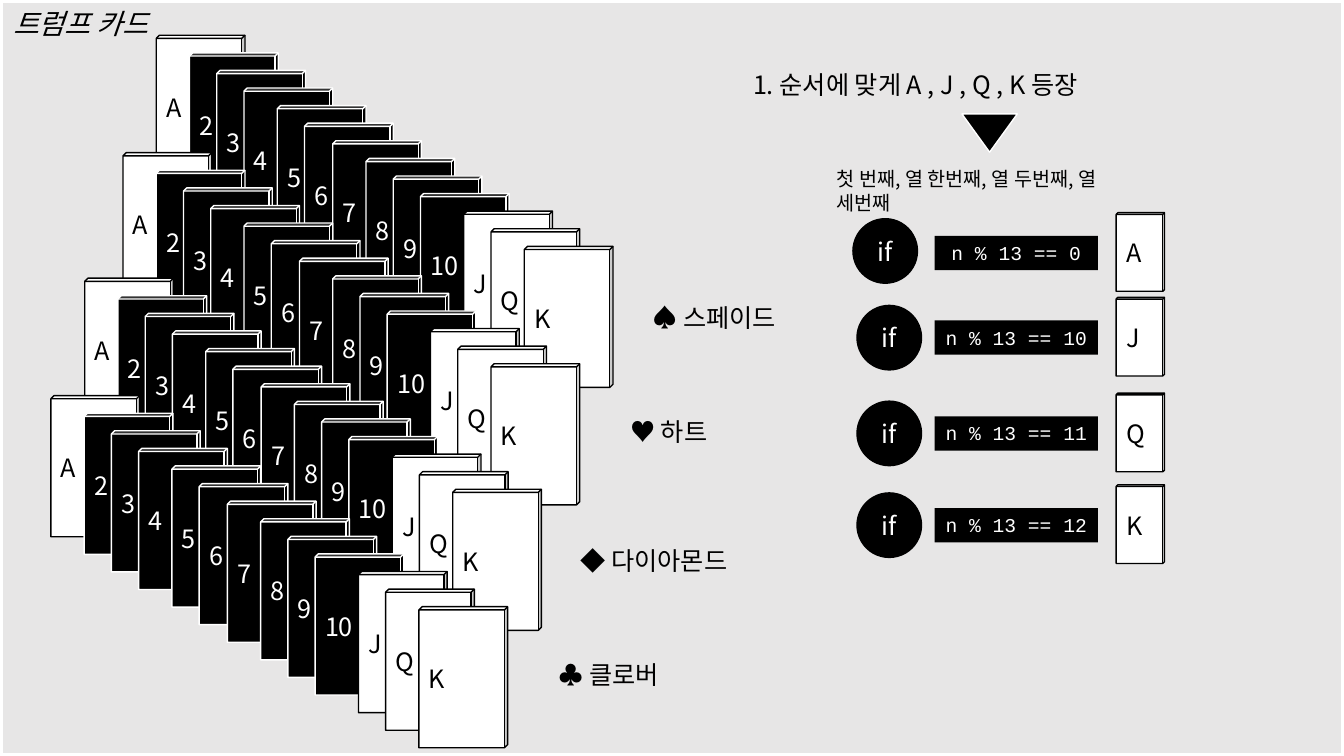
"""Builds a slide of four fanned card suits and the rules that find A, J, Q and K."""
import typing

import lxml.etree
import pptx
import pptx.dml.color
import pptx.enum.shapes
import pptx.enum.text
import pptx.oxml.ns
import pptx.util

Inches = pptx.util.Inches
Pt = pptx.util.Pt
Kind = pptx.enum.shapes.MSO_SHAPE
Align = pptx.enum.text.PP_ALIGN
Anchor = pptx.enum.text.MSO_ANCHOR
RGBColor = pptx.dml.color.RGBColor

BLACK = RGBColor(0, 0, 0)
WHITE = RGBColor(255, 255, 255)
GRAY = RGBColor(0xE7, 0xE6, 0xE6)
SANS = "Noto Sans CJK KR"
MONO = "Courier New"


class Box(typing.NamedTuple):
    left: float
    top: float
    width: float
    height: float


class Suit(typing.NamedTuple):
    left: float
    top: float
    name: str
    label: Box


class Rule(typing.NamedTuple):
    rank: str
    value: int
    mid: float
    ring_left: float = 8.5
    ring_mid: float = 0


RANKS = ("A", "2", "3", "4", "5", "6", "7", "8", "9", "10", "J", "Q", "K")
FACES = {"A", "J", "Q", "K"}
SHIFTS = (0, 0.33, 0.6, 0.87, 1.2, 1.47, 1.75, 2.08, 2.35, 2.62, 3.05, 3.32, 3.65)
DROP = 0.1745
CARD = (0.88, 1.4)
SMALL = (0.48, 0.78)
RING = 0.64
BAR = (1.62, 0.34)

SUITS = (
    Suit(1.55, 0.35, "♠ 스페이드", Box(6.37, 2.95, 1.71, 0.4)),
    Suit(1.22, 1.515, "♥ 하트", Box(6.15, 4.08, 1.71, 0.4)),
    Suit(0.84, 2.76, "◆ 다이아몬드", Box(5.66, 5.36, 1.87, 0.4)),
    Suit(0.505, 3.925, "♣ 클로버", Box(5.44, 6.49, 1.71, 0.4)),
)
RULES = (
    Rule("A", 0, 2.51, 8.46, 2.49),
    Rule("J", 10, 3.35),
    Rule("Q", 11, 4.3),
    Rule("K", 12, 5.21),
)

deck = pptx.Presentation()
deck.slide_width, deck.slide_height = Inches(13.33), Inches(7.5)
slide = deck.slides.add_slide(deck.slide_layouts[5])


def write(shape, text: str, size: float = 18, color=BLACK, font: str = SANS,
          align=Align.LEFT, anchor=Anchor.TOP, italic: bool = False) -> None:
    """Put one formatted line of text in a shape."""
    frame = shape.text_frame
    frame.word_wrap = True
    frame.vertical_anchor = anchor
    line = frame.paragraphs[0]
    line.alignment = align
    run = line.add_run()
    run.text = text
    run.font.size = Pt(size)
    run.font.name = font
    run.font.italic = italic
    run.font.color.rgb = color
    east = lxml.etree.SubElement(run.font._element, pptx.oxml.ns.qn("a:ea"))
    east.set("typeface", font)


def place(box: Box) -> list:
    """Turn a box in inches into lengths."""
    return [Inches(side) for side in box]


def draw(kind, box: Box, fill, edge=None, weight: float = 1, adjust: tuple = ()):
    """Draw a flat preset shape."""
    shape = slide.shapes.add_shape(kind, *place(box))
    shape.shadow.inherit = False
    shape.fill.solid()
    shape.fill.fore_color.rgb = fill
    if edge is None:
        shape.line.fill.background()
    else:
        shape.line.color.rgb = edge
        shape.line.width = Pt(weight)
    for index, value in enumerate(adjust):
        shape.adjustments[index] = value
    return shape


def label(text: str, box: Box, size: float = 18) -> None:
    """Add a plain line of text."""
    write(slide.shapes.add_textbox(*place(box)), text, size=size)


def card(rank: str, box: Box) -> None:
    """Draw a card, white for a face and black for a number."""
    fill, ink = (WHITE, BLACK) if rank in FACES else (BLACK, WHITE)
    shape = draw(Kind.CUBE, box, fill, ink, adjust=(0.036,))
    write(shape, rank, color=ink, anchor=Anchor.MIDDLE)


def fan(suit: Suit) -> None:
    """Draw the thirteen cards of a suit and its name."""
    for step, (rank, shift) in enumerate(zip(RANKS, SHIFTS)):
        card(rank, Box(suit.left + shift, suit.top + step * DROP, *CARD))
    label(suit.name, suit.label)


def test(rule: Rule) -> None:
    """Draw one rule: the if, its test and the card found."""
    bar = draw(Kind.RECTANGLE, Box(9.27, rule.mid - BAR[1] / 2, *BAR), BLACK)
    write(bar, f"n % 13 == {rule.value}", size=14, color=WHITE, font=MONO,
          align=Align.CENTER)
    top = (rule.ring_mid or rule.mid) - RING / 2
    ring = draw(Kind.OVAL, Box(rule.ring_left, top, RING, RING), BLACK, BLACK)
    write(ring, "if", color=WHITE, align=Align.CENTER, anchor=Anchor.MIDDLE)
    card(rule.rank, Box(11.07, rule.mid - 0.01 - SMALL[1] / 2, *SMALL))


def main() -> None:
    """Build and save the slide."""
    back = draw(Kind.RECTANGLE, Box(0, 0, 13.33, 7.5), GRAY, WHITE, weight=4.5)
    title = slide.shapes.title
    title._element.addprevious(back._element)
    title.left, title.top, title.width, title.height = place(Box(0.03, 0.01, 6.2, 0.44))
    write(title, "트럼프 카드", size=20, italic=True)
    title.text_frame.auto_size = pptx.enum.text.MSO_AUTO_SIZE.NONE
    for suit in SUITS:
        fan(suit)
    label("1. 순서에 맞게 A , J , Q , K 등장", Box(7.37, 0.64, 4.18, 0.4))
    label("첫 번째, 열 한번째, 열 두번째, 열 세번째", Box(8.2, 1.61, 3.1, 0.34), size=14)
    draw(Kind.DOWN_ARROW, Box(9.54, 1.13, 0.55, 0.38), BLACK, WHITE, adjust=(0.5, 1))
    for rule in RULES:
        test(rule)
    deck.save("out.pptx")


main()
